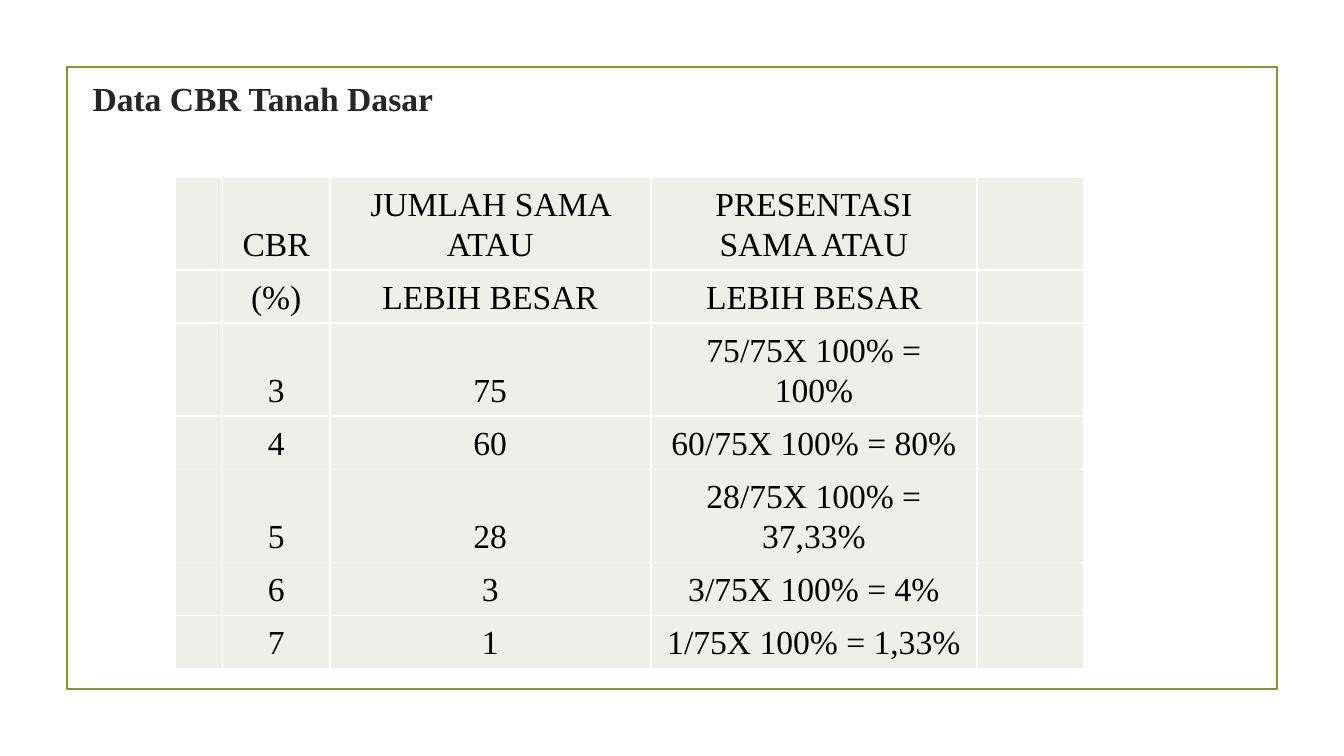
from lxml.etree import SubElement
from pptx import Presentation
from pptx.dml.color import RGBColor
from pptx.enum.shapes import MSO_SHAPE
from pptx.enum.text import MSO_ANCHOR, PP_ALIGN
from pptx.oxml.ns import qn
from pptx.util import Pt


def color(hex_text):
    return RGBColor.from_string(hex_text)


class SlideBuilder:
    font = "Times New Roman"
    size = 18
    frame_color = "83992A"
    title_color = "262626"
    text_color = "000000"
    cell_color = "EDEFE8"
    border_color = "FFFFFF"

    def __init__(self, slide):
        self.s = slide

    def format_runs(self, p, hex_text, bold=False):
        for r in p.runs:
            r.font.name = self.font
            r.font.size = Pt(self.size)
            r.font.bold = bold
            r.font.color.rgb = color(hex_text)

    def frame(self, x, y, w, h):
        sp = self.s.shapes.add_shape(MSO_SHAPE.RECTANGLE, Pt(x), Pt(y), Pt(w), Pt(h))
        sp.shadow.inherit = False
        sp.fill.background()
        sp.line.color.rgb = color(self.frame_color)
        sp.line.width = Pt(1.25)

    def title(self, text, x, y, w, h):
        tf = self.s.shapes.add_textbox(Pt(x), Pt(y), Pt(w), Pt(h)).text_frame
        tf.word_wrap = True
        p = tf.paragraphs[0]
        p.text = text
        p.space_before, p.space_after = Pt(3.6), Pt(4.5)
        self.format_runs(p, self.title_color, bold=True)

    def borders(self, cell):
        tc_pr = cell._tc.get_or_add_tcPr()
        for i, side in enumerate(("lnL", "lnR", "lnT", "lnB")):
            ln = tc_pr.makeelement(qn(f"a:{side}"), {"w": str(Pt(1))})
            fill = SubElement(ln, qn("a:solidFill"))
            SubElement(fill, qn("a:srgbClr"), val=self.border_color)
            tc_pr.insert(i, ln)

    def cell(self, cell, text, middle):
        cell.fill.solid()
        cell.fill.fore_color.rgb = color(self.cell_color)
        cell.vertical_anchor = MSO_ANCHOR.MIDDLE if middle else MSO_ANCHOR.BOTTOM
        # Tight margins let the row heights set the grid
        cell.margin_top = Pt(1 if middle else 0)
        cell.margin_bottom = Pt(1 if middle else 3.6)
        self.borders(cell)
        p = cell.text_frame.paragraphs[0]
        p.text = text
        p.alignment = PP_ALIGN.CENTER
        p.line_spacing = 1.07
        self.format_runs(p, self.text_color)
        if not text:
            # Keeps empty cells from stretching their row
            SubElement(p._p, qn("a:endParaRPr"), sz="1200")

    def table(self, rows, x, y, widths, heights, header_rows):
        table = self.s.shapes.add_table(
            len(rows), len(widths), Pt(x), Pt(y), Pt(sum(widths)), Pt(sum(heights))
        ).table
        for column, width in zip(table.columns, widths):
            column.width = Pt(width)
        for i, (values, height) in enumerate(zip(rows, heights)):
            table.rows[i].height = Pt(height)
            for j, text in enumerate(values):
                self.cell(table.cell(i, j), text, middle=i < header_rows and j > 1)


def main():
    prs = Presentation()
    prs.slide_width, prs.slide_height = Pt(720), Pt(405)
    s = SlideBuilder(prs.slides.add_slide(prs.slide_layouts[6]))

    # Frame and title
    s.frame(36, 36, 648, 333)
    s.title("Data CBR Tanah Dasar", 42.5, 38.2, 238.3, 45.4)

    # CBR table, with an empty column on each side
    data = [
        ("CBR", "JUMLAH SAMA ATAU", "PRESENTASI SAMA ATAU"),
        ("(%)", "LEBIH BESAR", "LEBIH BESAR"),
        ("3", "75", "75/75X 100% = 100%"),
        ("4", "60", "60/75X 100% = 80%"),
        ("5", "28", "28/75X 100% = 37,33%"),
        ("6", "3", "3/75X 100% = 4%"),
        ("7", "1", "1/75X 100% = 1,33%"),
    ]
    rows = [("", *values, "") for values in data]
    widths = [25.7, 57.4, 172, 174.8, 57.4]
    one_line, two_lines = 28.5, 49.7
    heights = [two_lines if i in (0, 2, 4) else one_line for i in range(len(rows))]
    s.table(rows, 93.6, 95, widths, heights, header_rows=2)

    prs.save("out.pptx")


if __name__ == "__main__":
    main()
